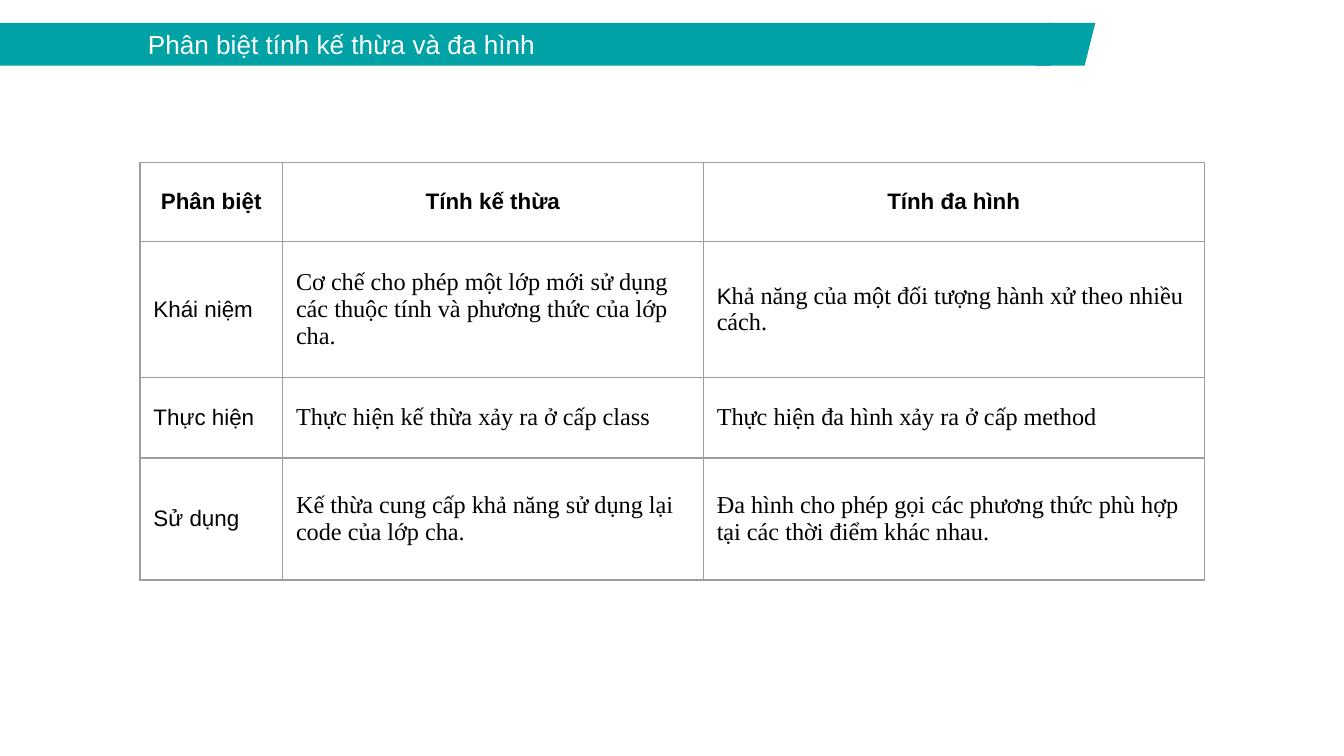
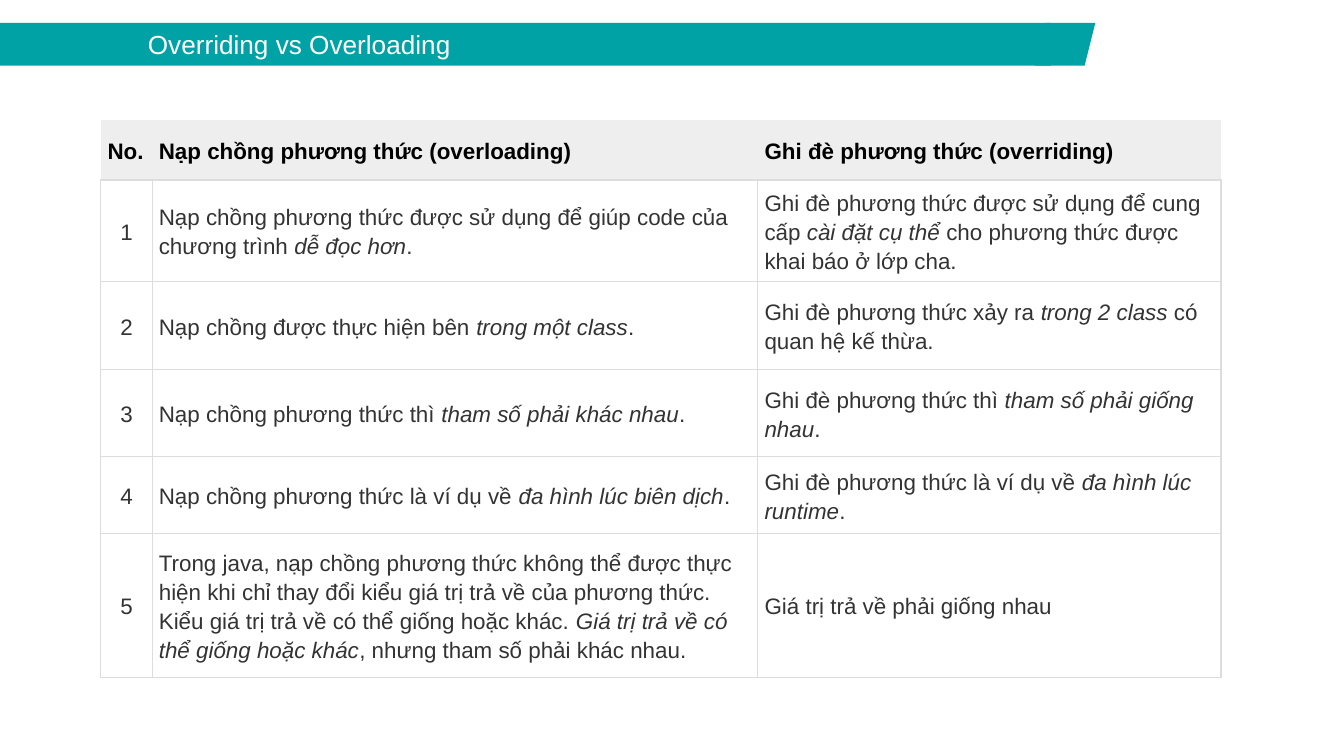
from collections import namedtuple

from lxml import etree
from pptx import Presentation
from pptx.dml.color import RGBColor
from pptx.enum import shapes, text
from pptx.oxml import ns
from pptx.util import Pt

TEAL = RGBColor(0x01, 0xA2, 0xA6)
WHITE = RGBColor(0xFF, 0xFF, 0xFF)
BLACK = RGBColor(0, 0, 0)
DARK = RGBColor(0x33, 0x33, 0x33)
GREY = RGBColor(0x9E, 0x9E, 0x9E)
SILVER = RGBColor(0xDD, 0xDD, 0xDD)
PALE = RGBColor(0xEE, 0xEE, 0xEE)

SANS, SERIF = "Arial", "Times New Roman"
LEFT, MID = text.PP_ALIGN.LEFT, text.PP_ALIGN.CENTER
SIDES = ("lnL", "lnR", "lnT", "lnB")

Type = namedtuple("Type", "font size color bold italic", defaults=(False, False))
Cell = namedtuple("Cell", "plain mark align fill sides")
Look = namedtuple("Look", "head label body line inset pitch")

TITLE = Type(SANS, 14, WHITE)
HEAD = Type(SANS, 12, BLACK, True)
LABEL = Type(SANS, 12, BLACK)
PROSE = Type(SERIF, 13, BLACK)
NOTE = Type(SANS, 12, DARK)
STRESS = NOTE._replace(italic=True)

OPEN = Look(
    Cell(HEAD, HEAD, MID, None, SIDES),
    Cell(LABEL, LABEL, LEFT, None, SIDES),
    Cell(PROSE, LABEL, LEFT, None, SIDES),
    GREY, 7.2, 1)
FILLED = Look(
    Cell(HEAD, HEAD, LEFT, PALE, ("lnB",)),
    Cell(NOTE, STRESS, MID, WHITE, SIDES),
    Cell(NOTE, STRESS, LEFT, WHITE, SIDES),
    SILVER, 3.6, 1.15)

TRAITS = [
    ["Phân biệt", "Tính kế thừa", "Tính đa hình"],
    ["Khái niệm",
     "Cơ chế cho phép một lớp mới sử dụng các thuộc tính và phương thức của lớp cha.",
     "*K*hả năng của một đối tượng hành xử theo nhiều cách."],
    ["Thực hiện",
     "Thực hiện kế thừa xảy ra ở cấp class",
     "Thực hiện đa hình xảy ra ở cấp method"],
    ["Sử dụng",
     "Kế thừa cung cấp khả năng sử dụng lại code của lớp cha.",
     "Đa hình cho phép gọi các phương thức phù hợp tại các thời điểm khác nhau."],
]
METHODS = [
    ["No.", "Nạp chồng phương thức (overloading)", "Ghi đè phương thức (overriding)"],
    ["1",
     "Nạp chồng phương thức được sử dụng để giúp code của chương trình *dễ đọc hơn*.",
     "Ghi đè phương thức được sử dụng để cung cấp *cài đặt cụ thể* cho phương thức "
     "được khai báo ở lớp cha."],
    ["2",
     "Nạp chồng được thực hiện bên *trong một class*.",
     "Ghi đè phương thức xảy ra *trong 2 class* có quan hệ kế thừa."],
    ["3",
     "Nạp chồng phương thức thì *tham số phải khác nhau*.",
     "Ghi đè phương thức thì *tham số phải giống nhau*."],
    ["4",
     "Nạp chồng phương thức là ví dụ về *đa hình lúc biên dịch*.",
     "Ghi đè phương thức là ví dụ về *đa hình lúc runtime*."],
    ["5",
     "Trong java, nạp chồng phương thức không thể được thực hiện khi chỉ thay đổi "
     "kiểu giá trị trả về của phương thức. Kiểu giá trị trả về có thể giống hoặc khác. "
     "*Giá trị trả về có thể giống hoặc khác*, nhưng tham số phải khác nhau.",
     "Giá trị trả về phải giống nhau"],
]


def style(run, kind):
    """Give a run its font, size, colour and weight."""
    font = run.font
    font.name, font.size = kind.font, Pt(kind.size)
    font.bold, font.italic = kind.bold, kind.italic
    font.color.rgb = kind.color


def block(slide, shape, left, width):
    """Add one plain teal part of the title band."""
    part = slide.shapes.add_shape(shape, Pt(left), Pt(12.2), Pt(width), Pt(23))
    part.shadow.inherit = False
    part.fill.solid()
    part.fill.fore_color.rgb = TEAL
    part.line.fill.background()
    return part


def banner(slide, title):
    """Draw the title band with its slanted end."""
    band = block(slide, shapes.MSO_SHAPE.RECTANGLE, 0, 563)
    block(slide, shapes.MSO_SHAPE.PARALLELOGRAM, 554.4, 32.4)
    frame = band.text_frame
    frame.text = title
    frame.margin_left = Pt(79.2)
    frame.margin_right = frame.margin_top = frame.margin_bottom = Pt(7.2)
    frame.vertical_anchor = text.MSO_ANCHOR.MIDDLE
    frame.paragraphs[0].alignment = LEFT
    style(frame.paragraphs[0].runs[0], TITLE)


def border(cell, sides, color):
    """Draw the named sides of a cell and clear the others."""
    props = cell._tc.get_or_add_tcPr()
    for place, side in enumerate(SIDES):
        line = etree.Element(ns.qn("a:" + side), w=str(Pt(0.75)))
        if side in sides:
            fill = etree.SubElement(line, ns.qn("a:solidFill"))
            etree.SubElement(fill, ns.qn("a:srgbClr"), val=str(color))
        else:
            etree.SubElement(line, ns.qn("a:noFill"))
        props.insert(place, line)


def fill_cell(cell, words, kind, look):
    """Write and format one cell; starred words take the mark type."""
    cell.margin_left = cell.margin_right = Pt(look.inset)
    cell.margin_top = cell.margin_bottom = Pt(look.inset)
    cell.vertical_anchor = text.MSO_ANCHOR.MIDDLE
    if kind.fill is None:
        cell.fill.background()
    else:
        cell.fill.solid()
        cell.fill.fore_color.rgb = kind.fill
    border(cell, kind.sides, look.line)
    para = cell.text_frame.paragraphs[0]
    para.alignment, para.line_spacing = kind.align, look.pitch
    for count, part in enumerate(words.split("*")):
        if part:
            run = para.add_run()
            run.text = part
            style(run, kind.mark if count % 2 else kind.plain)


def grid(slide, left, top, widths, heights, data, look):
    """Add a table with a head row and a label column."""
    frame = slide.shapes.add_table(
        len(heights), len(widths), Pt(left), Pt(top), Pt(sum(widths)), Pt(sum(heights)))
    table = frame.table
    table.first_row = table.horz_banding = False
    for column, width in zip(table.columns, widths):
        column.width = Pt(width)
    for row, height in zip(table.rows, heights):
        row.height = Pt(height)
    for r, line in enumerate(data):
        for c, words in enumerate(line):
            kind = look.head if r == 0 else look.label if c == 0 else look.body
            fill_cell(table.cell(r, c), words, kind, look)


def page(deck, title):
    """Add a blank slide with the title band."""
    slide = deck.slides.add_slide(deck.slide_layouts[6])
    banner(slide, title)
    return slide


def main():
    """Build both slides and save the deck."""
    deck = Presentation()
    deck.slide_width, deck.slide_height = Pt(720), Pt(405)
    slide = page(deck, "Phân biệt tính kế thừa và đa hình")
    grid(slide, 75, 87, (76.4, 225.4, 268.4), (42.4, 72.8, 43.2, 65.4), TRAITS, OPEN)
    slide = page(deck, "Overriding vs Overloading")
    grid(slide, 54, 64.2, (27.5, 324.5, 248.2), (32.2, 54.4, 47, 47, 41, 77),
         METHODS, FILLED)
    deck.save("out.pptx")


if __name__ == "__main__":
    main()
